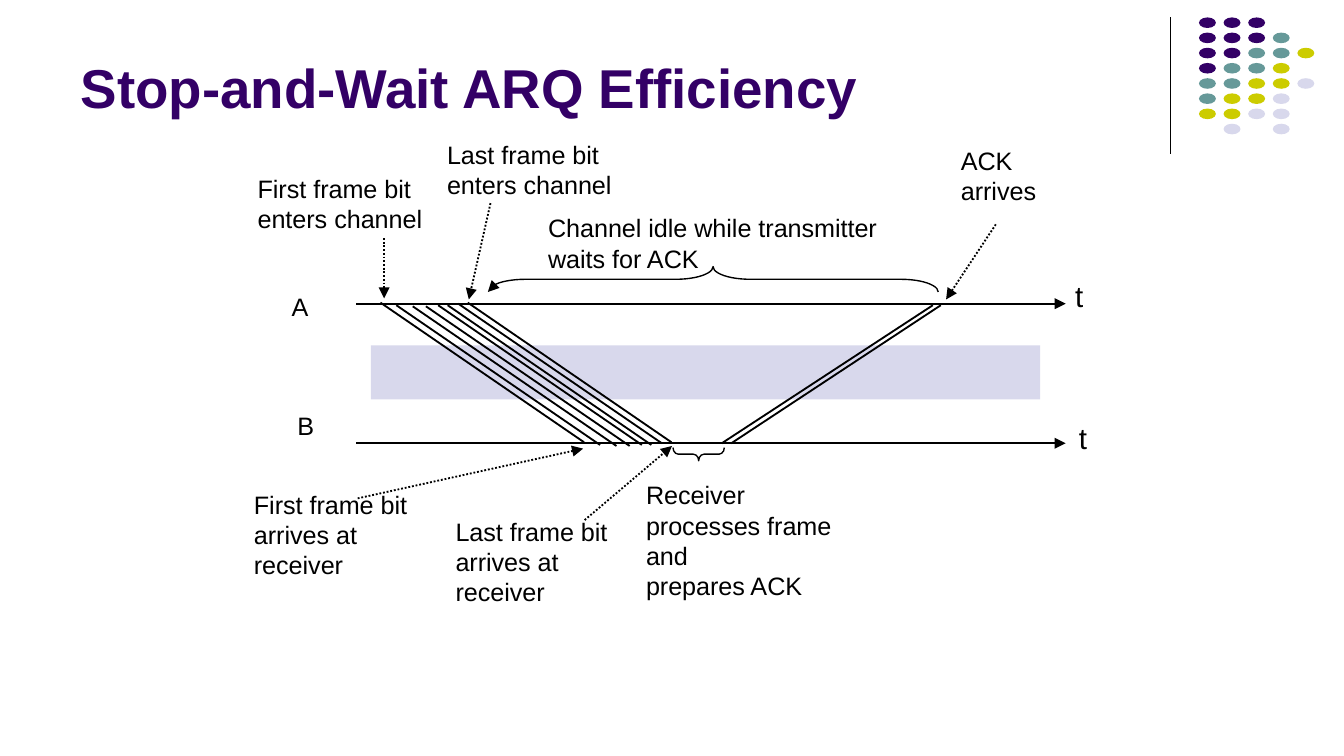
from lxml import etree
from pptx import Presentation
from pptx.dml.color import RGBColor
from pptx.enum.dml import MSO_LINE
from pptx.enum.shapes import MSO_CONNECTOR, MSO_SHAPE
from pptx.enum.text import MSO_ANCHOR, MSO_AUTO_SIZE, PP_ALIGN
from pptx.oxml.ns import qn
from pptx.util import Cm, Pt

STRAIGHT = MSO_CONNECTOR.STRAIGHT
DOTTED = MSO_LINE.ROUND_DOT
ELLIPSE, RECTANGLE, BRACE = MSO_SHAPE.OVAL, MSO_SHAPE.RECTANGLE, MSO_SHAPE.LEFT_BRACE
BOTTOM, TOP = MSO_ANCHOR.BOTTOM, MSO_ANCHOR.TOP
LEFT = PP_ALIGN.LEFT
FIT_SHAPE, NO_FIT = MSO_AUTO_SIZE.SHAPE_TO_FIT_TEXT, MSO_AUTO_SIZE.NONE

FONT = "Arial"
COLORS = {
    "ink": "000000",
    "purple": "330066",
    "teal": "669999",
    "yellow": "CCCC00",
    "lavender": "D8D8EC",
}
DOT_COLORS = {"P": "purple", "T": "teal", "Y": "yellow", "L": "lavender"}
DOT_ROWS = ["PPP", "PPPT", "PPTTY", "PTTY", "TTYYL", "TYYL", "YYLL", " L L"]

TIME_AXES = [3.24, 5.88]
FRAME_BIT_STARTS = [(2.69, 3.22), (2.99, 3.27), (3.3, 3.29), (3.55, 3.29),
                    (3.78, 3.27), (3.96, 3.27), (4.16, 3.24), (4.34, 3.22)]
FRAME_BIT_RUN, FRAME_BIT_DROP = 3.85, 2.64
ACK_LINES = [(9.14, 5.88, 13.13, 3.27), (9.32, 5.88, 13.28, 3.27)]
POINTERS = [
    (2.76, 2, 2.76, 3.14),
    (4.77, 1.34, 4.36, 3.16),
    (6.55, 7.33, 8.2, 5.93),
    (14.32, 1.74, 13.38, 3.16),
    (2.26, 6.92, 6.52, 5.98),
]
CAPTIONS = [
    (0.12, 0.65, 3.91, 1.37, ["First frame bit enters channel"]),
    (3.7, 0, 4.45, 1.37, ["Last frame bit enters channel"]),
    (5.61, 1.39, 7.21, 1.37, ["Channel idle while transmitter waits for ACK"]),
    (3.86, 7.13, 3.58, 1.91, ["Last frame bit arrives at receiver"]),
    (7.46, 6.44, 4.22, 2.46, ["Receiver processes frame and", "prepares ACK"]),
    (13.41, 0.12, 2.77, 1.37, ["ACK arrives"]),
    (0.05, 6.62, 3.56, 1.91, ["First frame bit arrives at receiver"]),
]
STATIONS = [(0.73, 2.91, " A"), (0.81, 5.15, " B")]
TIME_LABELS = [(15.57, 2.63), (15.64, 5.32)]


def color(name):
    """Return the named palette colour."""
    return RGBColor.from_string(COLORS[name])


def add_arrowhead(shape, end):
    """Put a triangle on the given end of an outline."""
    outline = shape.line._get_or_add_ln()
    etree.SubElement(outline, qn(f"a:{end}"), type="triangle")


def add_line(slide, box, points, width=1, arrow=False, dotted=False):
    """Draw a straight line between two points of the box."""
    left, top = box[:2]
    x1, y1, x2, y2 = points
    line = slide.shapes.add_connector(
        STRAIGHT, Cm(left + x1), Cm(top + y1), Cm(left + x2), Cm(top + y2))
    line.line.color.rgb = color("ink")
    line.line.width = Pt(width)
    if dotted:
        line.line.dash_style = DOTTED
    if arrow:
        add_arrowhead(line, "tailEnd")
    etree.SubElement(line._element.spPr, qn("a:effectLst"))


def add_filled(slide, kind, left, top, width, height, fill):
    """Draw a borderless shape in a palette colour."""
    shape = slide.shapes.add_shape(kind, Cm(left), Cm(top), Cm(width), Cm(height))
    shape.shadow.inherit = False
    shape.fill.solid()
    shape.fill.fore_color.rgb = color(fill)
    shape.line.fill.background()


def add_brace(slide, box, place, turn, curve):
    """Lay a brace on its side inside its visible place and return it."""
    x, y, span, depth = place
    left = box[0] + x + (span - depth) / 2
    top = box[1] + y + (depth - span) / 2
    shape = slide.shapes.add_shape(BRACE, Cm(left), Cm(top), Cm(depth), Cm(span))
    shape.rotation = turn
    shape.adjustments[0] = curve
    shape.shadow.inherit = False
    shape.fill.background()
    shape.line.color.rgb = color("ink")
    shape.line.width = Pt(0.75)
    return shape


def write(frame, lines, size, ink="ink", bold=False):
    """Fill a text frame with one paragraph for each line."""
    for number, text in enumerate(lines):
        paragraph = frame.add_paragraph() if number else frame.paragraphs[0]
        paragraph.alignment = LEFT
        run = paragraph.add_run()
        run.text = text
        run.font.name = FONT
        run.font.size = Pt(size)
        run.font.bold = bold
        run.font.color.rgb = color(ink)


def add_label(slide, box, place, lines, size=13.5, wrap=True, margins=(0.25, 0.13)):
    """Place a text box relative to the box."""
    x, y, width, height = place
    label = slide.shapes.add_textbox(
        Cm(box[0] + x), Cm(box[1] + y), Cm(width), Cm(height))
    frame = label.text_frame
    frame.word_wrap = wrap
    frame.auto_size = FIT_SHAPE
    frame.vertical_anchor = TOP
    frame.margin_left = frame.margin_right = Cm(margins[0])
    frame.margin_top = frame.margin_bottom = Cm(margins[1])
    write(frame, lines, size)


def add_title(slide, box):
    """Move and fill the title placeholder."""
    title = slide.shapes.title
    title.left, title.top, title.width, title.height = map(Cm, box)
    frame = title.text_frame
    frame.word_wrap = True
    frame.auto_size = NO_FIT
    frame.vertical_anchor = BOTTOM
    write(frame, ["Stop-and-Wait ARQ Efficiency"], 29.25, "purple", True)


def add_dot_corner(slide, box):
    """Draw the divider and the grid of coloured dots beside it."""
    left, top, width, height = box
    indent, dot_width, dot_height, grid_height = 0.54, 0.32, 0.2, 2.21
    column_step = (width - indent - dot_width) / 4
    row_step = (grid_height - dot_height) / (len(DOT_ROWS) - 1)
    add_line(slide, box, (0, 0, 0, height), 0.75)
    for row, letters in enumerate(DOT_ROWS):
        for column, letter in enumerate(letters):
            if letter in DOT_COLORS:
                add_filled(slide, ELLIPSE, left + indent + column * column_step,
                           top + row * row_step, dot_width, dot_height,
                           DOT_COLORS[letter])


def add_timing_diagram(slide, box):
    """Draw the exchange between stations A and B with its captions."""
    add_filled(slide, RECTANGLE, box[0] + 2.51, box[1] + 4.03, 12.65, 1.02, "lavender")
    for y in TIME_AXES:
        add_line(slide, box, (2.23, y, 15.64, y), arrow=True)
    for x, y in FRAME_BIT_STARTS:
        add_line(slide, box, (x, y, x + FRAME_BIT_RUN, y + FRAME_BIT_DROP))
    for points in ACK_LINES:
        add_line(slide, box, points)
    for points in POINTERS:
        add_line(slide, box, points, arrow=True, dotted=True)
    idle_brace = add_brace(slide, box, (4.72, 2.54, 8.51, 0.48), 90, 1.47)
    add_arrowhead(idle_brace, "headEnd")
    add_brace(slide, box, (8.22, 5.96, 0.97, 0.25), 270, 0.4)
    for *place, lines in CAPTIONS:
        add_label(slide, box, place, lines)
    for x, y, name in STATIONS:
        add_label(slide, box, (x, y, 0.81, 0.74), [name], wrap=False, margins=(0.18, 0.1))
    for x, y in TIME_LABELS:
        add_label(slide, box, (x, y, 0.66, 0.89), ["t"], 15.75, wrap=False)


def main():
    """Build the slide and save it."""
    presentation = Presentation()
    presentation.slide_width, presentation.slide_height = Cm(25.4), Cm(14.29)
    slide = presentation.slides.add_slide(presentation.slide_layouts[5])
    add_dot_corner(slide, (22.12, 0.33, 2.72, 2.59))
    add_title(slide, (1.27, 0.25, 20.96, 2.13))
    add_timing_diagram(slide, (4.5, 2.5, 16.3, 9.04))
    presentation.save("out.pptx")


if __name__ == "__main__":
    main()
